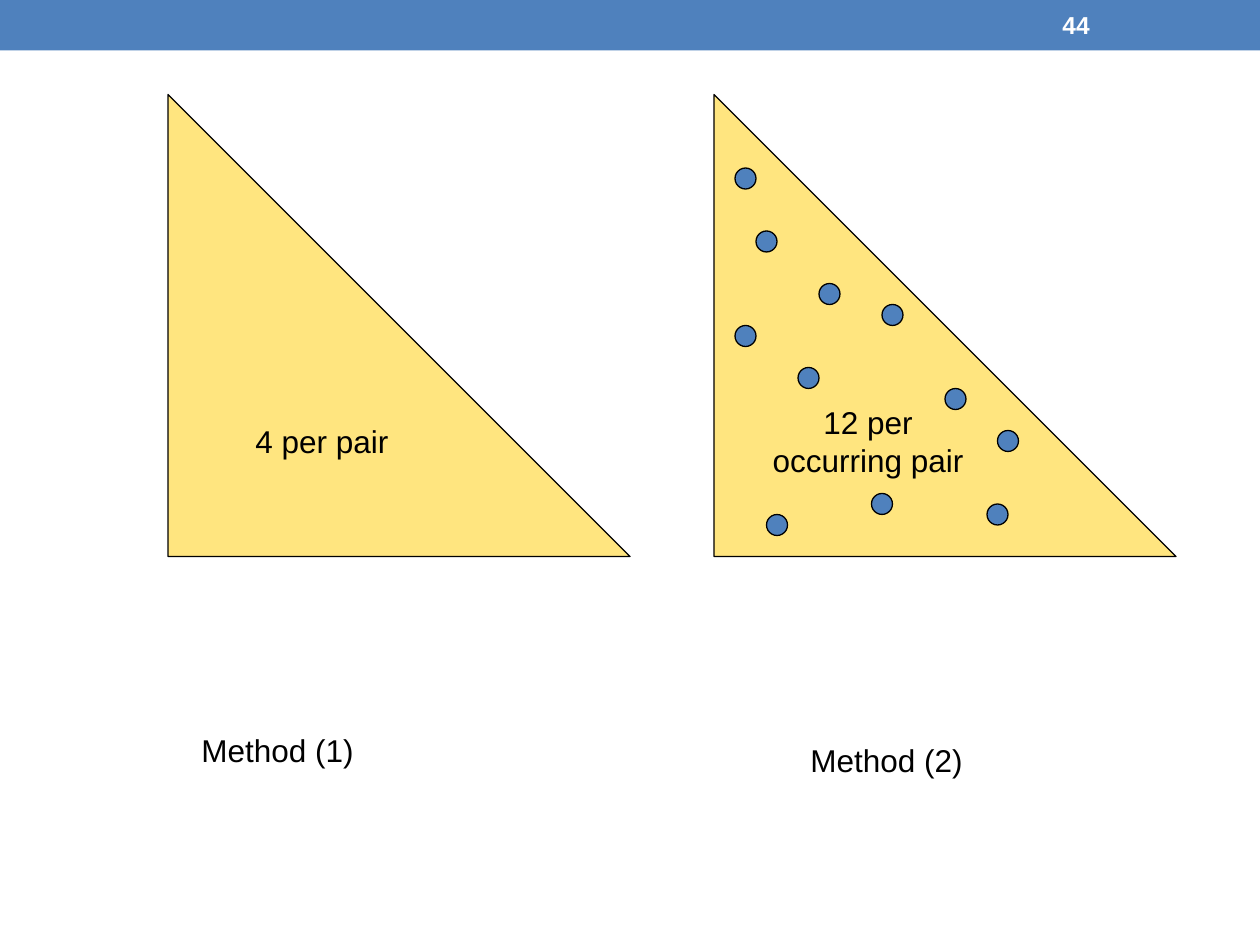
"""Build a slide comparing the storage cost of two pair-counting methods."""
from lxml import etree
from pptx import Presentation
from pptx.dml.color import RGBColor
from pptx.enum.shapes import MSO_SHAPE
from pptx.enum.text import MSO_ANCHOR, PP_ALIGN
from pptx.oxml.ns import qn
from pptx.util import Inches, Pt

RECTANGLE, TRIANGLE, OVAL = MSO_SHAPE.RECTANGLE, MSO_SHAPE.RIGHT_TRIANGLE, MSO_SHAPE.OVAL
MIDDLE, CENTER, LEFT = MSO_ANCHOR.MIDDLE, PP_ALIGN.CENTER, PP_ALIGN.LEFT
COLORS = {"blue": "4F81BD", "gold": "FFCC00", "black": "000000", "white": "FFFFFF"}
COLUMNS, ROWS = 120, 90

deck = Presentation()
deck.slide_width, deck.slide_height = Inches(10), Inches(7.5)
column, row = deck.slide_width / COLUMNS, deck.slide_height / ROWS
page = deck.slides.add_slide(deck.slide_layouts[6])


def add_box(kind, left, top, width, height, fill=None, outlined=False):
    place = [round(value) for value in (left * column, top * row, width * column, height * row)]
    if kind is None:
        return page.shapes.add_textbox(*place)
    box = page.shapes.add_shape(kind, *place)
    box.shadow.inherit = False
    box.fill.solid()
    box.fill.fore_color.rgb = RGBColor.from_string(COLORS[fill])
    if outlined:
        box.line.color.rgb = RGBColor.from_string(COLORS["black"])
        box.line.width = Pt(0.75)
    else:
        box.line.fill.background()
    return box


def write(box, text, size=18, color="black", bold=False, align=LEFT, wrap=True):
    box.text_frame.text = text
    box.text_frame.word_wrap = wrap
    for para in box.text_frame.paragraphs:
        para.alignment = align
        for span in para.runs:
            span.font.name = "Arial"
            span.font.size = Pt(size)
            span.font.bold = bold
            span.font.color.rgb = RGBColor.from_string(COLORS[color])


add_box(RECTANGLE, 0, 0, COLUMNS, 4.8, "blue")
page_number = add_box(None, 100, 0.24, 14, 4.32)
write(page_number, "44", size=14, color="white", bold=True)
page_number.text_frame.vertical_anchor = MIDDLE

methods = [
    (16, "4 per pair", "Method (1)", 18, 69),
    (68, "12 per\noccurring pair", "Method (2)", 76, 70),
]
for left, cost, name, name_left, name_top in methods:
    triangle = add_box(TRIANGLE, left, 9, 44, 44, "gold", outlined=True)
    tint = triangle.fill._xPr.find(qn("a:solidFill"))[0]
    etree.SubElement(tint, qn("a:alpha"), val="50000")
    write(triangle, cost, align=CENTER, wrap=False)
    triangle.text_frame.vertical_anchor = MIDDLE
    write(add_box(None, name_left, name_top, 22, 6), name)

occurring_pairs = [
    (95, 41), (83, 47), (84, 29), (72, 22), (90, 37), (94, 48),
    (73, 49), (76, 35), (78, 27), (70, 16), (70, 31),
]
for left, top in occurring_pairs:
    add_box(OVAL, left, top, 2, 2, "blue", outlined=True)

deck.save("out.pptx")
